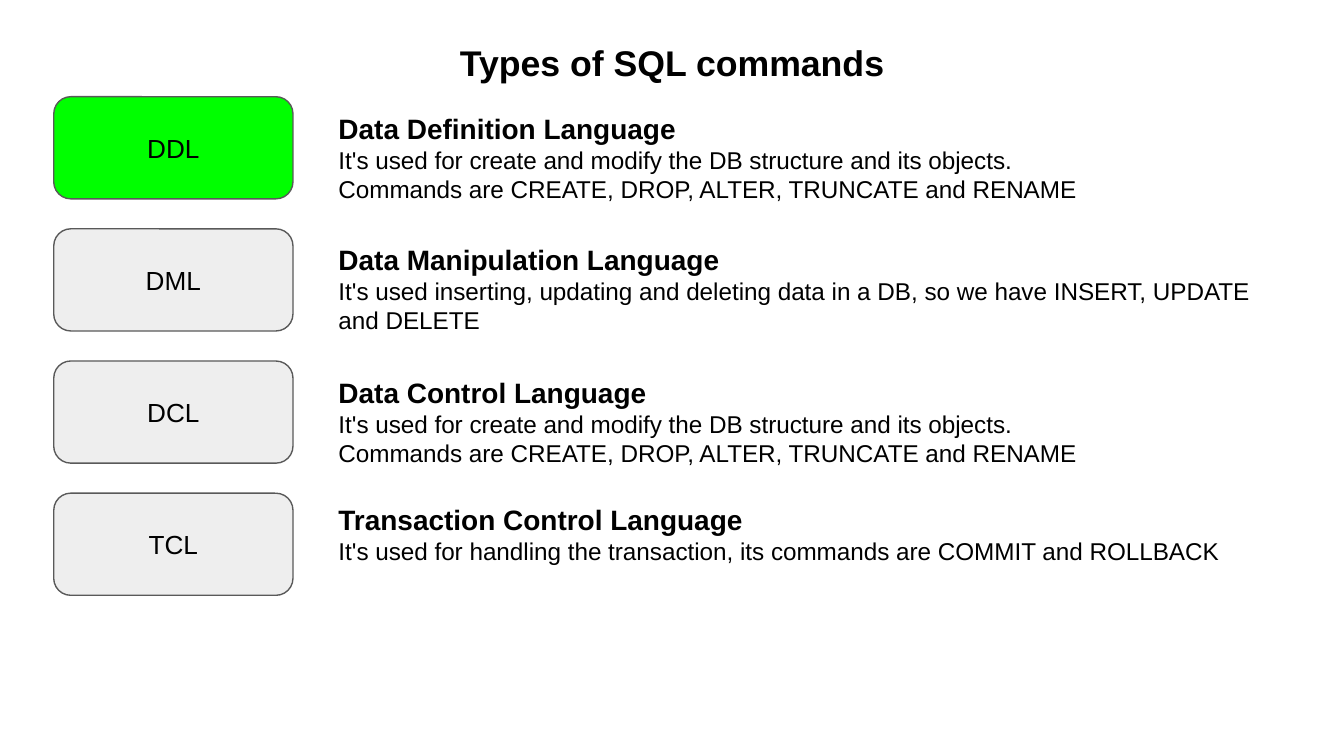
from pptx import Presentation
from pptx.dml.color import RGBColor
from pptx.enum.shapes import MSO_SHAPE
from pptx.enum.text import MSO_ANCHOR, PP_ALIGN
from pptx.util import Inches, Pt

COLORS = {
    "text": "000000",
    "active": "00FF00",
    "inactive": "EEEEEE",
    "outline": "595959",
}
FONT = "Arial"
FIRST_ROW_TOP, LAST_ROW_TOP, ROW_HEIGHT = 0.72, 3.67, 0.76

STRUCTURE_LINES = [
    "It's used for create and modify the DB structure and its objects.",
    "Commands are CREATE, DROP, ALTER, TRUNCATE and RENAME",
]
# Label, heading, description lines, label fill, vertical shift of the description
COMMAND_TYPES = [
    ("DDL", "Data Definition Language", STRUCTURE_LINES, "active", 0.01),
    ("DML", "Data Manipulation Language",
     ["It's used inserting, updating and deleting data in a DB, "
      "so we have INSERT, UPDATE and DELETE"], "inactive", 0),
    ("DCL", "Data Control Language", STRUCTURE_LINES, "inactive", 0.01),
    ("TCL", "Transaction Control Language",
     ["It's used for handling the transaction, "
      "its commands are COMMIT and ROLLBACK"], "inactive", -0.03),
]


def color(name):
    return RGBColor.from_string(COLORS[name])


def prepare_frame(shape, anchor):
    frame = shape.text_frame
    frame.word_wrap = True
    frame.vertical_anchor = anchor
    frame.margin_left = frame.margin_right = Inches(0.1)
    frame.margin_top = frame.margin_bottom = Inches(0.1)
    return frame


def add_run(paragraph, text, size, bold=False, align=PP_ALIGN.LEFT):
    paragraph.alignment = align
    run = paragraph.add_run()
    run.text = text
    run.font.name = FONT
    run.font.size = Pt(size)
    run.font.bold = bold
    run.font.color.rgb = color("text")


def add_title(slide, left, top, width, height, text):
    box = slide.shapes.add_textbox(Inches(left), Inches(top), Inches(width), Inches(height))
    paragraph = prepare_frame(box, MSO_ANCHOR.BOTTOM).paragraphs[0]
    paragraph.line_spacing = 0.8
    add_run(paragraph, text, 19.1, bold=True, align=PP_ALIGN.CENTER)


def add_label(slide, left, top, width, height, text, fill):
    shape = slide.shapes.add_shape(
        MSO_SHAPE.ROUNDED_RECTANGLE,
        Inches(left), Inches(top), Inches(width), Inches(height))
    shape.shadow.inherit = False
    shape.fill.solid()
    shape.fill.fore_color.rgb = color(fill)
    shape.line.color.rgb = color("outline")
    shape.line.width = Pt(0.75)
    frame = prepare_frame(shape, MSO_ANCHOR.MIDDLE)
    add_run(frame.paragraphs[0], text, 14, align=PP_ALIGN.CENTER)


def add_description(slide, left, top, width, height, heading, lines):
    box = slide.shapes.add_textbox(Inches(left), Inches(top), Inches(width), Inches(height))
    frame = prepare_frame(box, MSO_ANCHOR.TOP)
    add_run(frame.paragraphs[0], heading, 15, bold=True)
    for line in lines:
        add_run(frame.add_paragraph(), line, 13)


def add_command_row(slide, left, top, width, height, command_type):
    label, heading, lines, fill, shift = command_type
    text_offset = 2.02
    add_label(slide, left, top, 1.78, height, label, fill)
    add_description(slide, left + text_offset, top + shift,
                    width - text_offset, height, heading, lines)


def main():
    presentation = Presentation()
    # Widescreen 16:9
    presentation.slide_width = Inches(10)
    presentation.slide_height = Inches(10) * 9 // 16
    slide = presentation.slides.add_slide(presentation.slide_layouts[6])

    # Title
    add_title(slide, 0.34, 0.25, 9.32, 0.47, "Types of SQL commands")

    # One row for each command type, evenly spaced
    row_pitch = (LAST_ROW_TOP - FIRST_ROW_TOP) / (len(COMMAND_TYPES) - 1)
    for index, command_type in enumerate(COMMAND_TYPES):
        add_command_row(slide, 0.4, FIRST_ROW_TOP + index * row_pitch,
                        9.26, ROW_HEIGHT, command_type)

    presentation.save("out.pptx")


if __name__ == "__main__":
    main()
